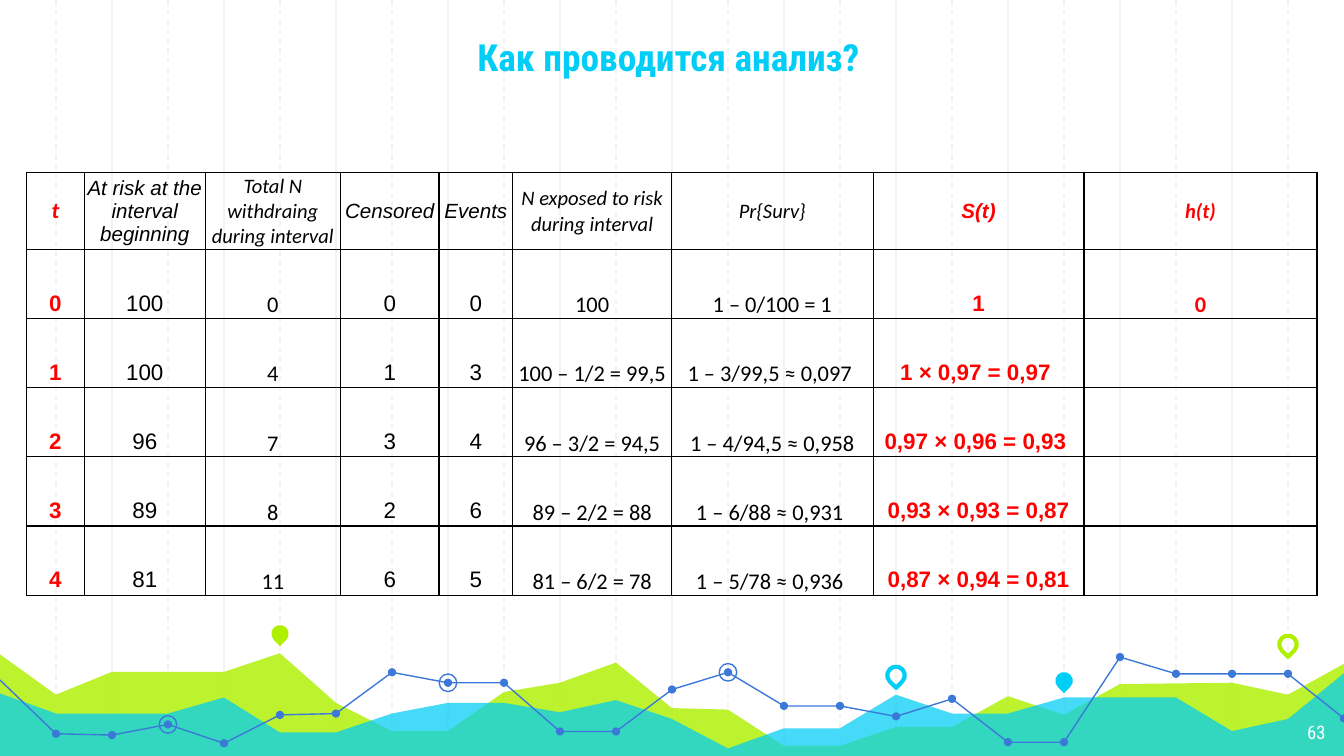
from lxml.etree import SubElement
from pptx import Presentation
from pptx.dml.color import RGBColor
from pptx.enum.dml import MSO_LINE
from pptx.enum.shapes import MSO_CONNECTOR, MSO_SHAPE
from pptx.enum.text import MSO_ANCHOR, PP_ALIGN
from pptx.oxml import parse_xml
from pptx.oxml.ns import nsdecls, qn
from pptx.util import Pt

COLORS = {"cyan": "00CEF6", "lime": "AFF000", "blue": "3C78D8", "grid": "F3F3F3",
          "red": "FF0000", "black": "000000", "white": "FFFFFF"}
RGB = {name: RGBColor.from_string(value) for name, value in COLORS.items()}
STEP = 30  # spacing of the vertical grid
BOTTOM = 406

prs = Presentation()
prs.slide_width, prs.slide_height = Pt(720), Pt(405)
slide = prs.slides.add_slide(prs.slide_layouts[5])
shapes = slide.shapes


def outline(points, closed):
    """Freeform through (grid column, y) points."""
    corners = [(Pt(column * STEP), Pt(y)) for column, y in points]
    builder = shapes.build_freeform(*corners[0], scale=1.0)
    builder.add_line_segments(corners[1:], close=closed)
    form = builder.convert_to_shape()
    form.shadow.inherit = False
    return form


def marker(kind, column, y, size, fill=None, line=None, width=0.75):
    """Preset shape centred on a grid column."""
    mark = shapes.add_shape(kind, Pt(column * STEP - size / 2), Pt(y - size / 2),
                            Pt(size), Pt(size))
    mark.shadow.inherit = False
    if fill:
        mark.fill.solid()
        mark.fill.fore_color.rgb = RGB[fill]
    else:
        mark.fill.background()
    if line:
        mark.line.color.rgb = RGB[line]
        mark.line.width = Pt(width)
    else:
        mark.line.fill.background()
    return mark


# Vertical grid: solid on even columns, dashed on odd ones
for column in [*range(2, 24, 2), *range(1, 24, 2)]:
    x = Pt(column * STEP)
    grid_line = shapes.add_connector(MSO_CONNECTOR.STRAIGHT, x, 0, x, Pt(BOTTOM))
    grid_line.line.color.rgb = RGB["grid"]
    grid_line.line.width = Pt(0.75)
    if column % 2:
        grid_line.line.dash_style = MSO_LINE.DASH
    SubElement(grid_line._element.spPr, qn("a:effectLst"))

# Translucent areas
lime_ridge = [(0, 350.6), (1, 372.2), (2, 360), (4, 360), (5, 350), (6, 376.6),
              (7, 391.7), (8, 391.7), (9, 370.8), (10, 365.8), (11, 355),
              (12, 379.4), (13, 380.2), (14, 399.6), (15, 399.6), (16, 389.5),
              (17, 389.5), (18, 373), (19, 383), (20, 366.5), (22, 365.8),
              (23, 372.2), (24, 355.7)]
cyan_ridge = [(0, 371.5), (1, 382.3), (3, 382.3), (4, 373.7), (5, 392.4),
              (6, 392.4), (7, 382.3), (8, 376.6), (9, 376.6), (10, 381.6),
              (11, 375.1), (12, 385.2), (13, 401), (14, 390.2), (15, 390.2),
              (16, 372.2), (17, 382.3), (18, 382.3), (19, 373.7), (21, 373.7),
              (22, 391.7), (23, 385.2), (24, 360.7)]
for ridge, color, alpha in [(lime_ridge, "lime", 82), (cyan_ridge, "cyan", 73)]:
    area = outline(ridge + [(24, BOTTOM), (0, BOTTOM)], True)
    area.fill.solid()
    area.fill.fore_color.rgb = RGB[color]
    area.line.fill.background()
    srgb = area._element.spPr.find(qn("a:solidFill")).find(qn("a:srgbClr"))
    SubElement(srgb, qn("a:alpha"), val=str(alpha * 1000))

# Map pins
for column, y, fill, line in [(5, 339.5, "lime", None), (16, 361.8, None, "cyan"),
                              (19, 364.7, "cyan", None), (23, 345.2, None, "lime")]:
    pin = marker(MSO_SHAPE.TEAR, column, y, 9.4, fill, line, 2.25)
    pin.rotation = 135

# Polyline in three stretches, with dots and rings
trend = list(enumerate([
    364.3, 393.1, 393.8, 388.1, 398.2, 383, 382.3, 360.2, 365.8, 365.8, 391.9, 391.9,
    369.4, 360.2, 378.2, 378.2, 383.8, 374.4, 397.6, 397.6, 352, 361, 361, 361, 384.9]))
for first, last in [(0, 11), (11, 20), (20, 24)]:
    stretch = outline(trend[first:last + 1], False)
    stretch.fill.background()
    stretch.line.color.rgb = RGB["blue"]
    stretch.line.width = Pt(0.75)
for column, y in trend[1:]:
    marker(MSO_SHAPE.OVAL, column, y, 4.4, fill="blue")
for column in (3, 8, 13):
    marker(MSO_SHAPE.OVAL, column, trend[column][1], 9.4, line="blue")

# Title, brought in front of the grid
title = shapes.title
title._element.getparent().append(title._element)
title.left, title.top, title.width, title.height = Pt(82.8), Pt(4.3), Pt(550.8), Pt(45.4)
title.text_frame.text = "Как проводится анализ?"

# Slide number
number = shapes.add_textbox(Pt(674), Pt(380.2), Pt(43.2), Pt(25.2))
number.text_frame.text = "63"

for box, align, anchor, size, color, bold in [
        (title, PP_ALIGN.CENTER, MSO_ANCHOR.BOTTOM, 20, "cyan", True),
        (number, PP_ALIGN.RIGHT, MSO_ANCHOR.TOP, 10, "white", False)]:
    frame = box.text_frame
    frame.word_wrap = True
    frame.vertical_anchor = anchor
    frame.margin_left = frame.margin_right = Pt(7.2)
    frame.margin_top = frame.margin_bottom = Pt(7.2)
    frame.paragraphs[0].alignment = align
    font = frame.paragraphs[0].runs[0].font
    font.name, font.size, font.bold = "Roboto Condensed", Pt(size), bold
    font.color.rgb = RGB[color]

# Life table
rows = [
    ["t", "At risk at the interval beginning", "Total N withdraing during interval",
     "Censored", "Events", "N exposed to risk\nduring interval", "Pr{Surv}", "S(t)", "h(t)"],
    ["0", "100", "0", "0", "0", "100", "1 – 0/100 = 1", "1", "0"],
    ["1", "100", "4", "1", "3", "100 – 1/2 = 99,5", "1 – 3/99,5 ≈ 0,097 ",
     "1 × 0,97 = 0,97 ", ""],
    ["2", "96", "7", "3", "4", "96 – 3/2 = 94,5", "1 – 4/94,5 ≈ 0,958",
     "0,97 × 0,96 = 0,93 ", ""],
    ["3", "89", "8", "2", "6", "89 – 2/2 = 88", "1 – 6/88 ≈ 0,931 ",
     "0,93 × 0,93 = 0,87", ""],
    ["4", "81", "11", "6", "5", "81 – 6/2 = 78", "1 – 5/78 ≈ 0,936 ",
     "0,87 × 0,94 = 0,81", ""],
]
widths = [31, 64.8, 72.4, 52.8, 39.6, 85, 108, 113, 124.8]
heights = [41.3] + [37.1] * 5
calibri_columns = {2, 5, 6, 8}
red_columns = {0, 7, 8}

life_table = shapes.add_table(len(rows), len(widths), Pt(14.2), Pt(92.2),
                              Pt(sum(widths)), Pt(sum(heights))).table
life_table.first_row = life_table.horz_banding = False
for column, width in zip(life_table.columns, widths):
    column.width = Pt(width)
for row, height in zip(life_table.rows, heights):
    row.height = Pt(height)

for r, texts in enumerate(rows):
    for c, text in enumerate(texts):
        cell = life_table.cell(r, c)
        cell.text_frame.text = text
        cell.vertical_anchor = MSO_ANCHOR.MIDDLE
        cell.margin_left = cell.margin_right = cell.margin_top = Pt(0.7)
        cell.margin_bottom = 0
        for side in "LRTB":
            cell._tc.get_or_add_tcPr().append(parse_xml(
                f'<a:ln{side} {nsdecls("a")} w="9525"><a:solidFill>'
                f'<a:srgbClr val="{COLORS["black"]}"/></a:solidFill></a:ln{side}>'))
        cell.fill.background()
        is_header = r == 0
        uses_calibri = c in calibri_columns or (is_header and c == 0)
        for paragraph in cell.text_frame.paragraphs:
            paragraph.alignment = PP_ALIGN.CENTER
            if text and not is_header:
                paragraph.line_spacing = 2.5
            for run in paragraph.runs:
                run.font.name = "Calibri" if uses_calibri else "Arial"
                run.font.size = Pt(11 if is_header and c else 12)
                run.font.bold = c in red_columns
                run.font.italic = is_header
                run.font.color.rgb = RGB["red" if c in red_columns else "black"]

prs.save("out.pptx")
